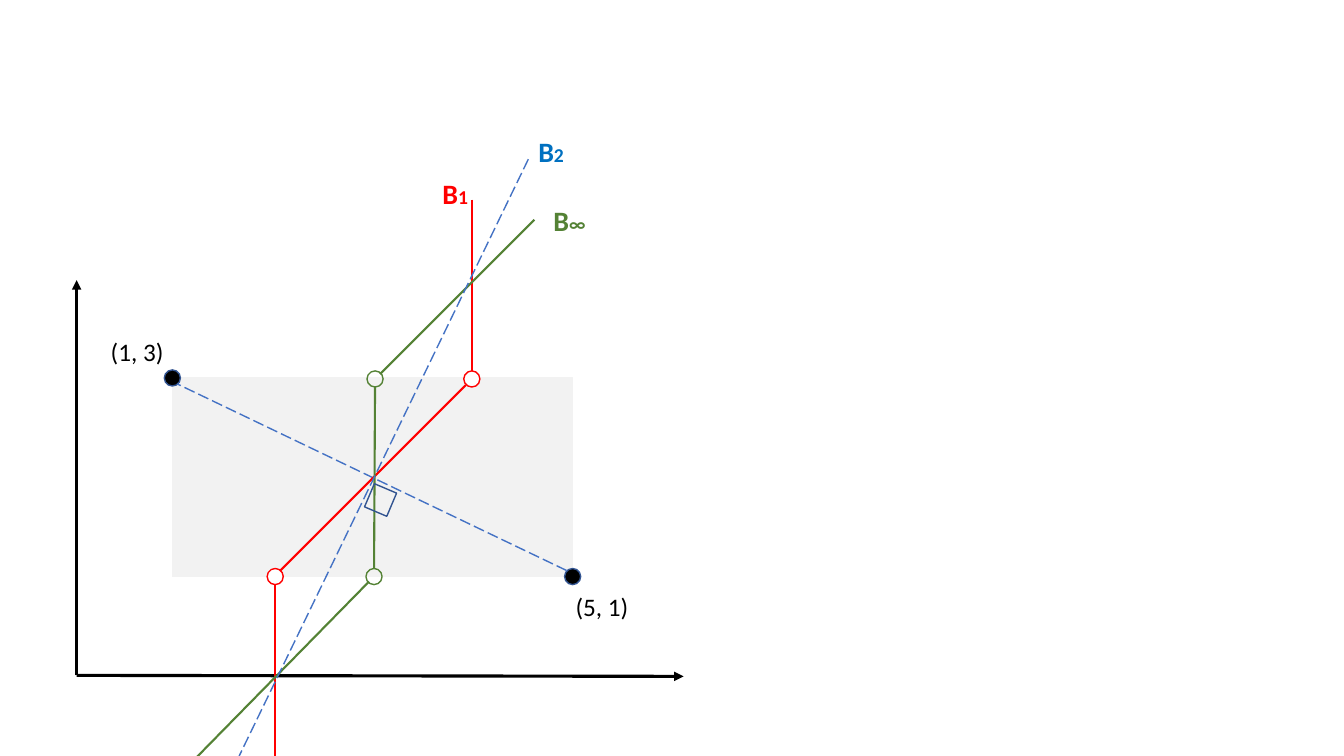
from lxml import etree
from pptx import Presentation
from pptx.dml.color import RGBColor
from pptx.enum.dml import MSO_LINE
from pptx.enum.shapes import MSO_CONNECTOR, MSO_SHAPE
from pptx.enum.text import MSO_AUTO_SIZE
from pptx.oxml.ns import qn
from pptx.util import Inches, Pt

RECT, OVAL = MSO_SHAPE.RECTANGLE, MSO_SHAPE.OVAL
STRAIGHT = MSO_CONNECTOR.STRAIGHT
LONG_DASH = MSO_LINE.LONG_DASH
GROW = MSO_AUTO_SIZE.SHAPE_TO_FIT_TEXT

BLACK = RGBColor(0x00, 0x00, 0x00)
WHITE = RGBColor(0xFF, 0xFF, 0xFF)
GRAY = RGBColor(0xF2, 0xF2, 0xF2)
RED = RGBColor(0xFF, 0x00, 0x00)
GREEN = RGBColor(0x54, 0x82, 0x35)
BLUE = RGBColor(0x00, 0x70, 0xC0)
DASH_BLUE = RGBColor(0x44, 0x72, 0xC4)
DARK_BLUE = RGBColor(0x32, 0x54, 0x91)

DOT = 0.16


def add_outline(s, kind, left, top, width, height, line, fill=None, rotation=0):
    """Add a preset shape with a 1 pt line and an optional fill."""
    sp = s.shapes.add_shape(kind, Inches(left), Inches(top), Inches(width), Inches(height))
    sp.shadow.inherit = False
    sp.rotation = rotation
    sp.line.color.rgb = line
    sp.line.width = Pt(1)
    if fill is None:
        sp.fill.background()
    else:
        sp.fill.solid()
        sp.fill.fore_color.rgb = fill


def add_dot(s, left, top, line, fill=None):
    add_outline(s, OVAL, left, top, DOT, DOT, line, fill)


def add_line(s, start, end, color, width=1.5, dash=None, arrow=False):
    cxn = s.shapes.add_connector(STRAIGHT, *map(Inches, start + end))
    cxn.line.color.rgb = color
    cxn.line.width = Pt(width)
    if dash is not None:
        cxn.line.dash_style = dash
    if arrow:
        ln = cxn.line._get_or_add_ln()
        etree.SubElement(ln, qn("a:tailEnd"), type="triangle")
    etree.SubElement(cxn._element.spPr, qn("a:effectLst"))


def add_text(s, left, top, width, height, text, size=18, color=BLACK, bold=False,
             index="", index_size=14):
    """Add a one-line label, with an optional smaller index after it."""
    box = s.shapes.add_textbox(Inches(left), Inches(top), Inches(width), Inches(height))
    tf = box.text_frame
    tf.word_wrap = True
    tf.auto_size = GROW
    p = tf.paragraphs[0]
    for part, points in ((text, size), (index, index_size)):
        if part:
            r = p.add_run()
            r.text = part
            r.font.name = "Calibri"
            r.font.size = Pt(points)
            r.font.bold = bold
            r.font.color.rgb = color


def add_axes(s):
    for end in ((0.76, 2.78), (6.78, 6.71)):
        add_line(s, (0.76, 6.7), end, BLACK, width=2.25, arrow=True)


def add_points(s):
    for left, top in ((1.63, 3.67), (5.6, 5.64)):
        add_dot(s, left, top, DARK_BLUE, BLACK)
    add_text(s, 1, 3.29, 0.94, 0.4, "(1, 3)")
    add_text(s, 5.61, 5.82, 0.94, 0.4, "(5, 1)")
    for left, top in ((4.6, 3.68), (2.65, 5.64)):
        add_dot(s, left, top, RED, WHITE)
    for left, top in ((3.64, 3.68), (3.63, 5.64)):
        add_dot(s, left, top, GREEN)


def add_bisector_labels(s):
    for left, top, index, color in ((4.29, 1.7, "1", RED), (5.24, 1.29, "2", BLUE),
                                    (5.39, 1.97, "∞", GREEN)):
        add_text(s, left, top, 0.62, 0.44, "B", size=20, color=color, bold=True, index=index)


def add_bisectors(s):
    add_line(s, (5.62, 5.66), (1.76, 3.81), DASH_BLUE, width=1, dash=LONG_DASH)
    for color, segments in (
        (RED, (((4.62, 3.82), (2.78, 5.66)),
               ((4.68, 1.98), (4.68, 3.68)),
               ((2.73, 7.5), (2.73, 5.8)))),
        (GREEN, (((3.72, 3.84), (3.71, 5.64)),
                 ((5.3, 2.18), (3.77, 3.71)),
                 ((1.59, 7.88), (3.66, 5.77)))),
    ):
        for start, end in segments:
            add_line(s, start, end, color)
    add_line(s, (5.24, 1.58), (2.13, 8), DASH_BLUE, width=1, dash=LONG_DASH)


def main():
    prs = Presentation()
    prs.slide_width, prs.slide_height = Inches(13.33), Inches(7.5)
    s = prs.slides.add_slide(prs.slide_layouts[6])
    add_outline(s, RECT, 1.71, 3.75, 3.97, 1.97, GRAY, GRAY)
    add_axes(s)
    add_points(s)
    add_bisector_labels(s)
    add_bisectors(s)
    add_outline(s, RECT, 3.65, 4.84, 0.25, 0.24, DARK_BLUE, rotation=293)
    prs.save("out.pptx")


if __name__ == "__main__":
    main()
